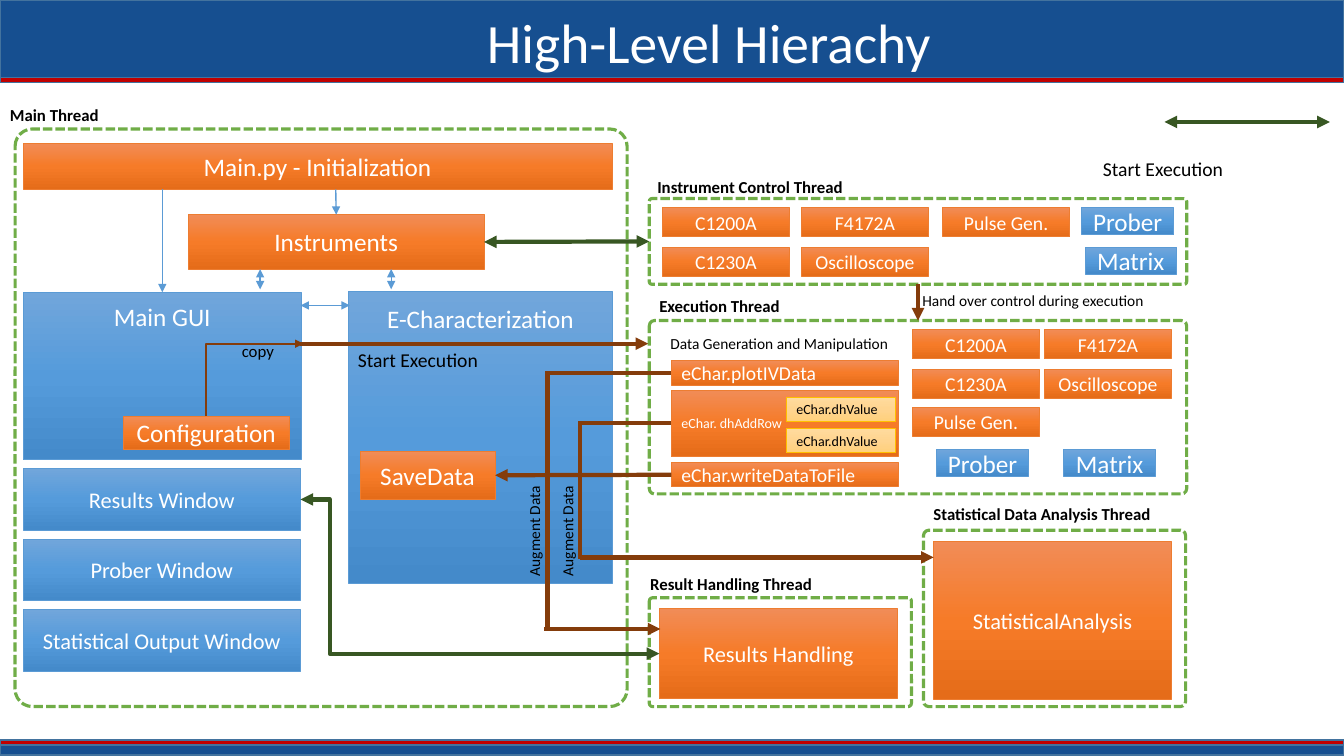
import copy

import pptx
import pptx.dml.color
import pptx.enum.dml
import pptx.enum.shapes
import pptx.enum.text
import pptx.oxml.ns
import pptx.util
from lxml import etree
from pptx.util import Inches

SHAPE = pptx.enum.shapes.MSO_SHAPE
CONNECTOR = pptx.enum.shapes.MSO_CONNECTOR
ALIGN = pptx.enum.text.PP_ALIGN
ANCHOR = pptx.enum.text.MSO_ANCHOR
qn = pptx.oxml.ns.qn

TOP, LEFT, BOTTOM, RIGHT = range(4)
ORANGE = {"stops": ("F18C57", "F67B28", "E56C19"), "line": "ED7D31", "text": "FFFFFF"}
BLUE = {"stops": ("71A6DB", "559BDB", "448ACA"), "line": "5B9BD5", "text": "FFFFFF"}
YELLOW = {"stops": ("FFDB9E", "FFD590", "FFD07C"), "line": "FFC000", "text": "000000"}
GREEN, BROWN, SKY = "385723", "843C0B", "5B9BD5"


def rgb(value):
    return pptx.dml.color.RGBColor.from_string(value)


def set_attrs(obj, values):
    for name, value in values.items():
        setattr(obj, name, value)


def set_line(line, color, width):
    line.color.rgb = rgb(color)
    line.width = pptx.util.Pt(width)


def write(tf, text, size, color, align, bold=False, **frame):
    set_attrs(tf, {"word_wrap": True, **frame})
    p = tf.paragraphs[0]
    p.alignment = align
    r = p.add_run()
    r.text = text
    set_attrs(r.font, {"name": "Calibri", "size": pptx.util.Pt(size), "bold": bold})
    r.font.color.rgb = rgb(color)


def add_shape(s, kind, at):
    sp = s.shapes.add_shape(kind, *map(Inches, at))
    sp.shadow.inherit = False
    return sp


def band(s, top, height, color):
    sp = add_shape(s, SHAPE.RECTANGLE, (0, top, 13.33, height))
    sp.fill.solid()
    sp.fill.fore_color.rgb = rgb(color)
    set_line(sp.line, "43739E", 1)


def fill_gradient(sp, colors):
    sp.fill.gradient()
    sp.fill.gradient_angle = 270
    stops = sp._element.spPr.find(".//" + qn("a:gsLst"))
    stops.insert(1, copy.deepcopy(stops[0]))
    for i, (stop, color) in enumerate(zip(sp.fill.gradient_stops, colors)):
        stop.position = i / 2
        stop.color.rgb = rgb(color)


def box(s, at, text, size, theme, align=ALIGN.CENTER, top=None):
    sp = add_shape(s, SHAPE.RECTANGLE, at)
    fill_gradient(sp, theme["stops"])
    set_line(sp.line, theme["line"], 0.5)
    frame = {"vertical_anchor": ANCHOR.MIDDLE}
    if top is not None:
        frame = {"vertical_anchor": ANCHOR.TOP, "margin_top": Inches(top)}
    write(sp.text_frame, text, size, theme["text"], align, **frame)
    return sp


def thread(s, at):
    sp = add_shape(s, SHAPE.ROUNDED_RECTANGLE, at)
    sp.adjustments[0] = 0.03
    sp.fill.background()
    set_line(sp.line, "70AD47", 2.25)
    sp.line.dash_style = pptx.enum.dml.MSO_LINE.SQUARE_DOT
    return sp


def label(s, at, text, size, bold=False, align=ALIGN.LEFT, color="000000", rotation=0, **frame):
    sp = s.shapes.add_textbox(*map(Inches, at))
    sp.rotation = rotation
    write(sp.text_frame, text, size, color, align, bold, **frame)


def link(s, start, end, color, width, ends="tail", begin=None, finish=None, kind=CONNECTOR.STRAIGHT):
    c = s.shapes.add_connector(kind, *map(Inches, start + end))
    set_line(c.line, color, width)
    if begin:
        c.begin_connect(*begin)
    if finish:
        c.end_connect(*finish)
    ln = c.line._get_or_add_ln()
    for end_name in ends.split():
        etree.SubElement(ln, qn(f"a:{end_name}End"), type="triangle")
    etree.SubElement(c._element.spPr, qn("a:effectLst"))
    return c


def elbow(s, start, end, color, width, ends, preset, adjust=None, **joins):
    c = link(s, start, end, color, width, ends, kind=CONNECTOR.ELBOW, **joins)
    geom = c._element.spPr.find(qn("a:prstGeom"))
    geom.set("prst", preset)
    if adjust is not None:
        guides = geom.find(qn("a:avLst"))
        etree.SubElement(guides, qn("a:gd"), name="adj1", fmla=f"val {adjust}")


def instruments(s, columns, rows, names):
    for name, col, row in names:
        box(s, (columns[col], rows[row], 1.26, 0.29), name, 14, ORANGE)


def main():
    prs = pptx.Presentation()
    set_attrs(prs, {"slide_width": Inches(13.33), "slide_height": Inches(7.5)})
    s = prs.slides.add_slide(prs.slide_layouts[6])

    for top, height, color in ((0, 0.81, "164F90"), (7.36, 0.13, "164F90"),
                               (7.34, 0.05, "C00000"), (0.77, 0.05, "C00000")):
        band(s, top, height, color)
    label(s, (0.89, 0.19, 12.28, 0.44), "High-Level Hierachy", 39.6, align=ALIGN.CENTER,
          color="FFFFFF", vertical_anchor=ANCHOR.MIDDLE)

    thread(s, (0.15, 1.28, 6.07, 5.73))
    control = thread(s, (6.44, 1.97, 5.33, 0.85))
    execution = thread(s, (6.44, 3.18, 5.33, 1.72))
    thread(s, (6.44, 5.93, 2.6, 1.08))
    thread(s, (9.16, 5.26, 2.6, 1.75))

    gui = box(s, (0.23, 2.9, 2.76, 1.66), "Main GUI", 18, BLUE, top=0.09)
    box(s, (0.23, 1.42, 5.84, 0.46), "Main.py - Initialization", 18, ORANGE)
    box(s, (3.46, 2.89, 2.61, 2.9), "E-Characterization", 18, BLUE, top=0.12)
    devices = box(s, (1.87, 2.13, 2.93, 0.54), "Instruments", 18, ORANGE)
    windows = [box(s, (0.23, 4.65 + 0.7 * i, 2.75, 0.61), name, 16, BLUE) for i, name in
               enumerate(("Results Window", "Prober Window", "Statistical Output Window"))]
    config = box(s, (1.22, 4.13, 1.65, 0.33), "Configuration", 18, ORANGE)
    save = box(s, (3.57, 4.48, 1.34, 0.47), "SaveData", 18, ORANGE)
    results = box(s, (6.54, 6.04, 2.36, 0.89), "Results Handling", 16, ORANGE)
    box(s, (9.26, 5.37, 2.36, 1.57), "StatisticalAnalysis", 16, ORANGE)

    instruments(s, (6.57, 7.95, 9.35), (2.06, 2.45),
                (("C1200A", 0, 0), ("C1230A", 0, 1), ("F4172A", 1, 0),
                 ("Oscilloscope", 1, 1), ("Pulse Gen.", 2, 0)))
    instruments(s, (9.05, 10.36), (3.27, 3.66, 4.04),
                (("C1200A", 0, 0), ("C1230A", 0, 1), ("F4172A", 1, 0),
                 ("Oscilloscope", 1, 1), ("Pulse Gen.", 0, 2)))
    for name, x, y in (("Prober", 10.73, 2.06), ("Matrix", 10.76, 2.45),
                       ("Prober", 9.29, 4.46), ("Matrix", 10.55, 4.46)):
        box(s, (x, y, 0.91, 0.27), name, 18, BLUE)

    plot, add_row, to_file = [
        box(s, (6.66, y, 2.25, h), name, size, ORANGE, ALIGN.LEFT) for y, h, name, size in
        ((3.58, 0.24, "eChar.plotIVData", 14), (3.87, 0.66, "eChar. dhAddRow", 10),
         (4.59, 0.24, "eChar.writeDataToFile", 14))]
    for y in (3.94, 4.25):
        box(s, (7.8, y, 1.08, 0.24), "eChar.dhValue", 10, YELLOW, ALIGN.LEFT)

    link(s, (4.8, 2.4), (6.44, 2.4), GREEN, 3, "head tail", (devices, RIGHT), (control, LEFT))
    link(s, (11.55, 1.21), (13.19, 1.21), GREEN, 3, "head tail")
    for x in (2.58, 3.88):
        link(s, (x, 2.67), (x, 2.87), SKY, 1, "head tail")
    link(s, (2.98, 3.03), (3.47, 3.03), SKY, 1, "head tail")
    link(s, (1.61, 1.88), (1.61, 2.9), SKY, 1, finish=(gui, TOP))
    link(s, (3.33, 1.88), (3.33, 2.13), SKY, 1, finish=(devices, TOP))
    elbow(s, (2.99, 4.95), (6.54, 6.49), GREEN, 3, "head tail", "bentConnector3", 8200,
          begin=(windows[0], RIGHT), finish=(results, LEFT))
    elbow(s, (3.01, 3.41), (2.04, 4.13), BROWN, 1.5, "head", "bentConnector2",
          finish=(config, TOP))
    link(s, (2.98, 3.41), (6.43, 3.41), BROWN, 3)
    link(s, (9.1, 2.82), (9.1, 3.18), BROWN, 3, "tail", (control, BOTTOM), (execution, TOP))
    link(s, (6.66, 4.2), (5.75, 4.2), BROWN, 3, "", (add_row, LEFT))
    link(s, (6.66, 3.7), (5.41, 3.7), BROWN, 3, "", (plot, LEFT))
    link(s, (6.66, 4.71), (4.91, 4.71), BROWN, 3, "tail", (to_file, LEFT), (save, RIGHT))
    link(s, (5.75, 5.55), (5.75, 4.18), BROWN, 3, "")
    link(s, (5.43, 6.23), (5.43, 3.68), BROWN, 3, "")
    link(s, (5.75, 5.53), (9.26, 5.53), BROWN, 3)
    link(s, (5.4, 6.24), (6.55, 6.24), BROWN, 3)

    for x, y, w, name in ((0, 0.99, 1.41, "Main Thread"),
                          (6.35, 5.64, 1.88, "Result Handling Thread"),
                          (9.16, 4.95, 2.52, "Statistical Data Analysis Thread"),
                          (6.44, 2.88, 1.88, "Execution Thread")):
        label(s, (x, y, w, 0.3), name, 12, bold=True)
    label(s, (6.22, 1.7, 2.44, 0.3), "Instrument Control Thread", 12, True, ALIGN.CENTER)
    for x, y in ((3.45, 3.4), (10.84, 1.51)):
        label(s, (x, y, 1.41, 0.34), "Start Execution", 14, word_wrap=False)
    label(s, (2.3, 3.33, 0.54, 0.3), "copy", 12)
    label(s, (9.05, 2.84, 2.42, 0.29), "Hand over control during execution", 11, word_wrap=False)
    label(s, (6.55, 3.27, 2.44, 0.29), "Data Generation and Manipulation", 11)
    for x in (4.75, 5.08):
        label(s, (x, 5.12, 1.1, 0.29), "Augment Data", 11, rotation=270, word_wrap=False)

    prs.save("out.pptx")


if __name__ == "__main__":
    main()
